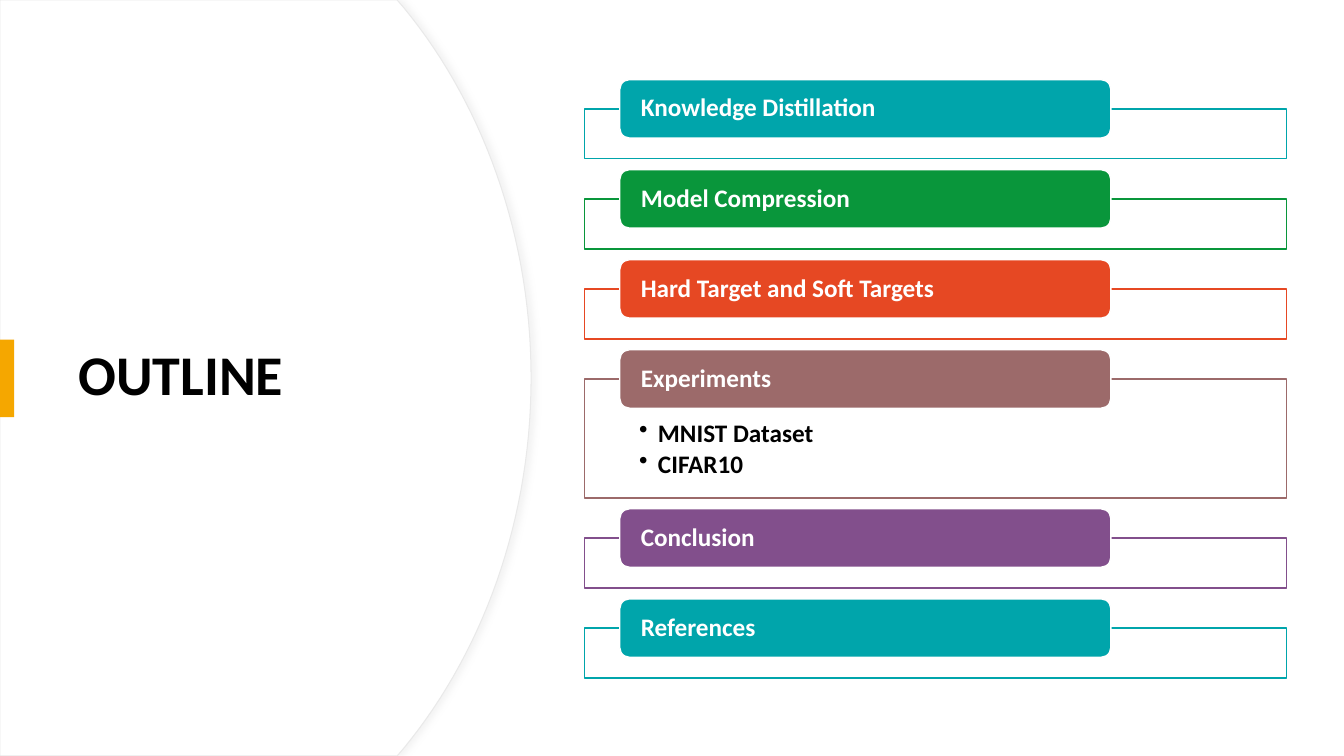
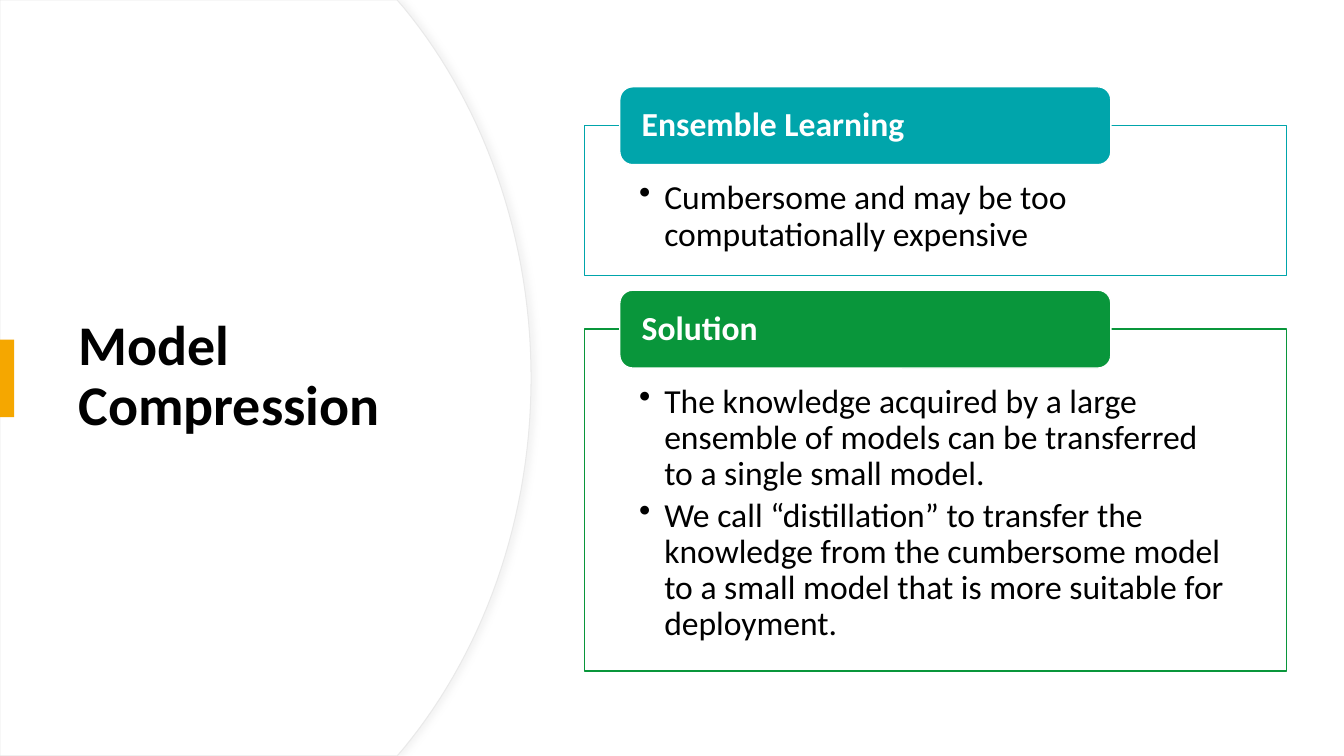
from lxml import etree
from pptx import Presentation
from pptx.dml.color import RGBColor
from pptx.enum.shapes import MSO_SHAPE
from pptx.enum.text import MSO_ANCHOR, PP_ALIGN
from pptx.oxml import parse_xml
from pptx.oxml.ns import nsdecls, qn
from pptx.util import Pt

RECT, ROUND = MSO_SHAPE.RECTANGLE, MSO_SHAPE.ROUNDED_RECTANGLE
TOP, MIDDLE = MSO_ANCHOR.TOP, MSO_ANCHOR.MIDDLE
LEFT = PP_ALIGN.LEFT

FONT = "Calibri"
SLIDE_W, SLIDE_H = 960, 540
COLORS = {
    "white": "FFFFFF", "black": "000000", "edge": "E9E9E9", "shadow": "D9D9D9",
    "gold": "F5A700", "teal": "00A5AB", "green": "09963B", "orange": "E64823",
    "rose": "9C6A6A", "purple": "824F8C",
}
SERIES = ["teal", "green", "orange", "rose", "purple"]

TITLE_BOX = (49, 91.4, 283.7, 356.4)
ACCENT_BOX = (0, 242.6, 10.1, 55.4)
LIST_LEFT, LIST_WIDTH, LIST_MIDDLE = 417.6, 501.2, 270.6
HEADER_INDENT, HEADER_WIDTH = 25.1, 350.8
HEADER_RATIO, GAP_RATIO = 2.32, 0.43
CURVE = [(288.7, 5.8), (344.2, 73.4), (379.4, 167), (379.4, 270)]
CURVE_STEPS = 30

SLIDES = [
    ("OUTLINE", 18, True, [
        ("Knowledge Distillation", 35.7, []),
        ("Model Compression", 35.7, []),
        ("Hard Target and Soft Targets", 35.7, []),
        ("Experiments", 85, ["MNIST Dataset", "CIFAR10"]),
        ("Conclusion", 35.7, []),
        ("References", 35.7, []),
    ]),
    ("Model Compression", 24, False, [
        ("Ensemble Learning", 107.1, [
            "Cumbersome and may be too computationally expensive",
        ]),
        ("Solution", 244.1, [
            "The knowledge acquired by a large ensemble of models can be "
            "transferred to a single small model.",
            "We call “distillation” to transfer the knowledge from the "
            "cumbersome model to a small model that is more suitable for "
            "deployment.",
        ]),
    ]),
]


def rgb(name):
    """Return the named palette colour."""
    return RGBColor.from_string(COLORS[name])


def paint(sp, fill, line=None, width=1):
    """Set a shape's fill and line and take off its shadow."""
    sp.shadow.inherit = False
    sp.fill.solid()
    sp.fill.fore_color.rgb = rgb(fill)
    if line:
        sp.line.color.rgb = rgb(line)
        sp.line.width = Pt(width)
    else:
        sp.line.fill.background()


def add_box(s, kind, box, fill, line=None):
    """Add a painted preset shape."""
    sp = s.shapes.add_shape(kind, *map(Pt, box))
    paint(sp, fill, line)
    return sp


def write(sp, lines, size, color="black", bold=False, anchor=TOP,
          insets=(7.2, 3.6, 7.2, 3.6), bullet_indent=0):
    """Write paragraphs into a shape, with bullets if an indent is given."""
    tf = sp.text_frame
    tf.word_wrap = True
    tf.vertical_anchor = anchor
    (tf.margin_left, tf.margin_top,
     tf.margin_right, tf.margin_bottom) = map(Pt, insets)
    for i, line in enumerate(lines):
        p = tf.add_paragraph() if i else tf.paragraphs[0]
        p.alignment = LEFT
        p.line_spacing = 0.9
        if bullet_indent:
            p.space_after = Pt(size * 0.15)
            pPr = p._p.get_or_add_pPr()
            pPr.set("marL", str(Pt(bullet_indent)))
            pPr.set("indent", str(-Pt(bullet_indent)))
            etree.SubElement(pPr, qn("a:buChar")).set("char", "•")
        r = p.add_run()
        r.text = line
        r.font.name = FONT
        r.font.size = Pt(size)
        r.font.bold = bold
        r.font.color.rgb = rgb(color)


def bezier(points, t):
    """Return the point at t on a cubic curve."""
    weights = ((1 - t) ** 3, 3 * t * (1 - t) ** 2, 3 * t ** 2 * (1 - t), t ** 3)
    return tuple(sum(w * pt[k] for w, pt in zip(weights, points))
                 for k in (0, 1))


def add_title_panel(s):
    """Draw the curved panel on the left, with a soft shadow."""
    upper = [(283.7, 0)] + [bezier(CURVE, i / CURVE_STEPS)
                            for i in range(CURVE_STEPS + 1)]
    lower = [(x, SLIDE_H - y) for x, y in reversed(upper[:-1])]
    outline = upper + lower + [(0, SLIDE_H)]
    builder = s.shapes.build_freeform(0, 0)
    builder.add_line_segments([(Pt(x), Pt(y)) for x, y in outline], close=True)
    sp = builder.convert_to_shape()
    paint(sp, "white", "edge", 0.75)
    effects = sp._element.spPr.find(qn("a:effectLst"))
    effects.append(parse_xml(
        f'<a:outerShdw {nsdecls("a")} blurRad="{Pt(4)}" dist="{Pt(3)}" dir="0">'
        f'<a:srgbClr val="{COLORS["shadow"]}"><a:alpha val="30000"/></a:srgbClr>'
        '</a:outerShdw>'))


def add_title(s, title):
    """Place the panel, the title and its accent bar."""
    add_title_panel(s)
    sp = s.shapes.add_textbox(*map(Pt, TITLE_BOX))
    write(sp, [title], 40, bold=True, anchor=MIDDLE)
    add_box(s, RECT, ACCENT_BOX, "gold")


def add_section(s, box, header, bullets, size, bold, color):
    """Place a framed section whose header straddles its top edge."""
    left, top, width, height = box
    header_h = size * HEADER_RATIO
    frame = add_box(s, RECT, box, "white", color)
    if bullets:
        write(frame, bullets, size, bold=bold, bullet_indent=size * 0.75,
              insets=(38.9, size * 1.64, 38.9, size * 0.56))
    label = add_box(s, ROUND, (left + HEADER_INDENT, top - header_h / 2,
                               HEADER_WIDTH, header_h), color, "white")
    write(label, [header], size, "white", bold=True, anchor=MIDDLE,
          insets=(13, 0, 13, 0))


def add_sections(s, sections, size, bold):
    """Stack the sections, centred vertically on the list's middle."""
    half_header, gap = size * HEADER_RATIO / 2, size * GAP_RATIO
    step = half_header + gap
    total = sum(step + height for _, height, _ in sections) - gap
    top = LIST_MIDDLE - total / 2 + half_header
    for i, (header, height, bullets) in enumerate(sections):
        add_section(s, (LIST_LEFT, top, LIST_WIDTH, height), header, bullets,
                    size, bold, SERIES[i % len(SERIES)])
        top += height + step


def main():
    """Build and save the presentation."""
    prs = Presentation()
    prs.slide_width, prs.slide_height = Pt(SLIDE_W), Pt(SLIDE_H)
    for title, size, bold, sections in SLIDES:
        s = prs.slides.add_slide(prs.slide_layouts[6])
        add_title(s, title)
        add_sections(s, sections, size, bold)
    prs.save("out.pptx")


if __name__ == "__main__":
    main()
